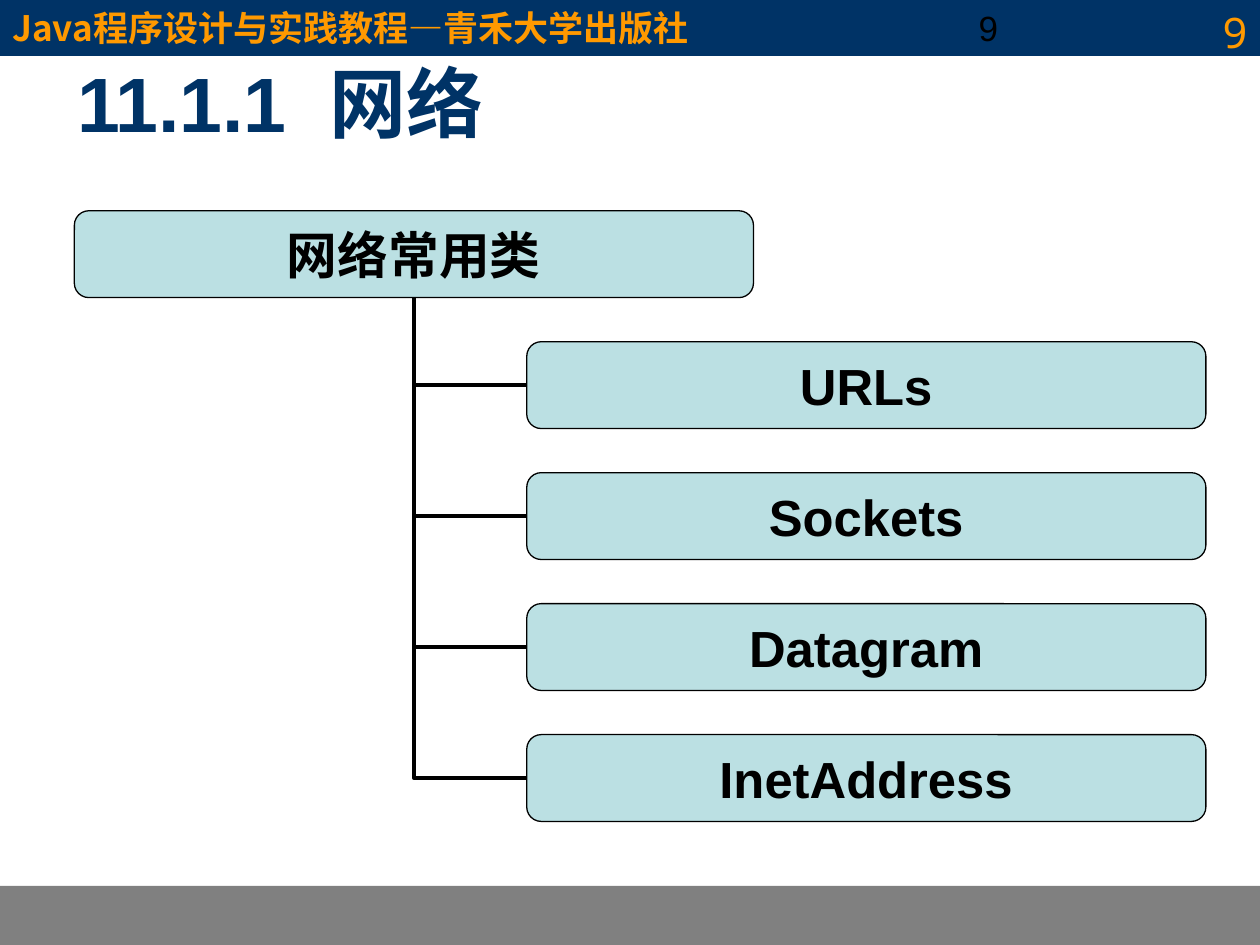
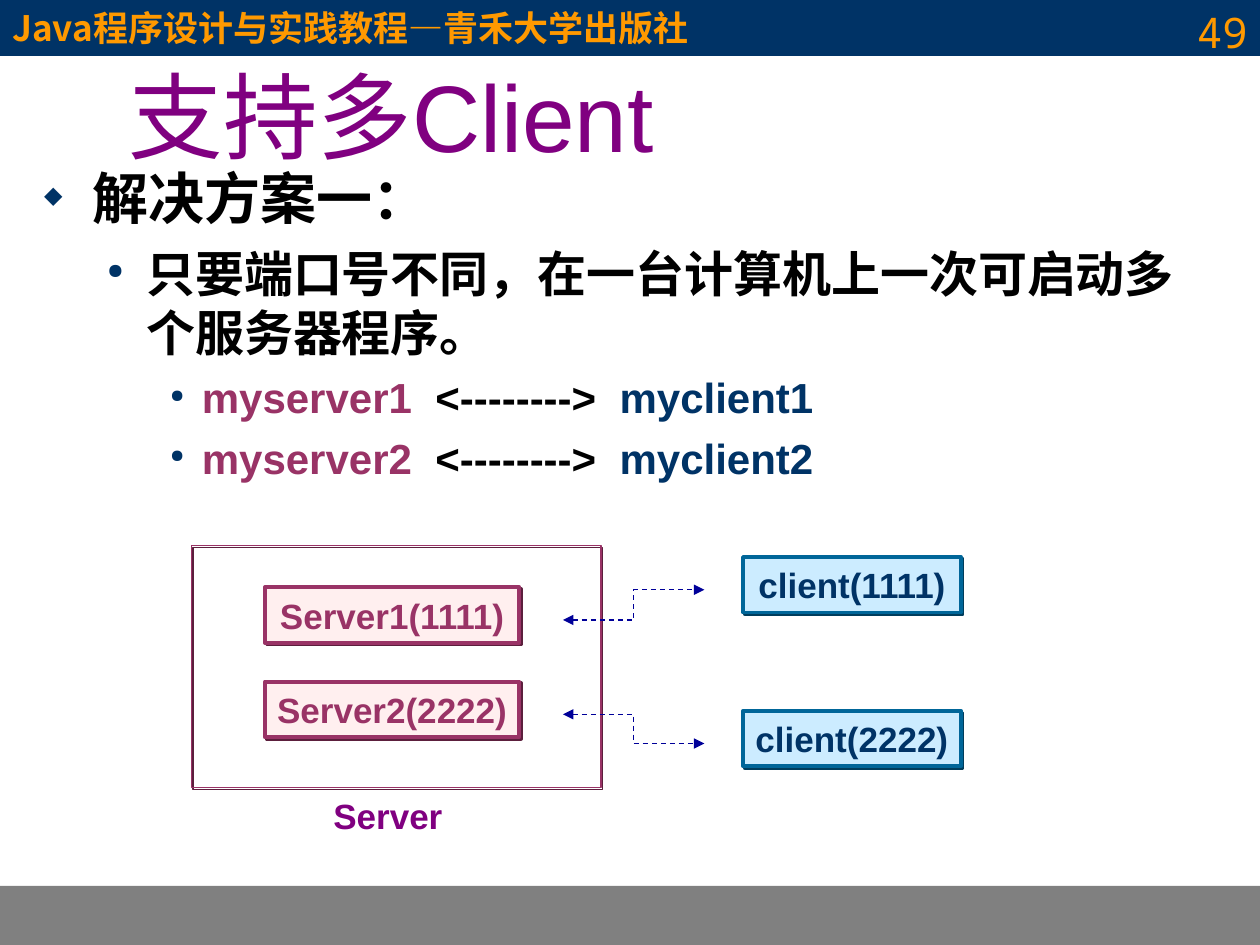
from lxml import etree
from pptx import Presentation
from pptx import util as u
from pptx.dml.color import RGBColor
from pptx.enum import dml, shapes, text
from pptx.oxml.ns import qn

NAVY, ORANGE, GRAY, BLACK = "003366", "FF9900", "808080", "000000"
PURPLE, PLUM, TEAL, BLUE = "800080", "993366", "BBE0E3", "000099"
LEFT, CENTER, RIGHT = text.PP_ALIGN.LEFT, text.PP_ALIGN.CENTER, text.PP_ALIGN.RIGHT


def write(paragraph, content, size=20, color=BLACK, bold=True, font="Arial", align=LEFT):
    paragraph.alignment = align
    run = paragraph.add_run()
    run.text = content
    run.font.size = u.Pt(size)
    run.font.bold = bold
    run.font.name = font
    run.font.color.rgb = RGBColor.from_string(color)
    etree.SubElement(run.font._element, qn("a:ea"), typeface="Noto Sans CJK SC")


def paint(shape, fill=None, line=None, width=0.75, shadow=None):
    """Set fill, outline and an optional hard shadow; None leaves a part out."""
    if fill:
        shape.fill.solid()
        shape.fill.fore_color.rgb = RGBColor.from_string(fill)
    elif hasattr(shape, "fill"):
        shape.fill.background()
    if line:
        shape.line.color.rgb = RGBColor.from_string(line)
        shape.line.width = u.Pt(width)
    else:
        shape.line.fill.background()
    properties = shape._element.spPr
    for old in properties.findall(qn("a:effectLst")):
        properties.remove(old)
    effects = etree.SubElement(properties, qn("a:effectLst"))
    if shadow:
        outer = etree.SubElement(effects, qn("a:outerShdw"), dist=str(u.Pt(1.4)),
                                 dir="2700000", algn="ctr", rotWithShape="0")
        etree.SubElement(outer, qn("a:srgbClr"), val=shadow)


presentation = Presentation()
presentation.slide_width, presentation.slide_height = u.Cm(25.4), u.Cm(19.05)
title_only = presentation.slide_layouts[5]

# Titles and page numbers
pages = [
    ("11.1.1  网络", dict(size=44, color=NAVY), (1.3, 1.19, 22.86, 1.73), "9"),
    ("支持多Client", dict(size=54, color=PURPLE, bold=False), (2.34, 1.27, 18.36, 2.08), "49"),
]
number_place = [u.Cm(value) for value in (19.48, 0, 5.92, 1.32)]
for heading, style, place, number in pages:
    slide = presentation.slides.add_slide(title_only)
    title = slide.shapes.title
    title.left, title.top, title.width, title.height = [u.Cm(value) for value in place]
    title.text_frame.auto_size = text.MSO_AUTO_SIZE.NONE
    write(title.text_frame.paragraphs[0], heading, **style)
    number_box = slide.shapes.add_textbox(*number_place)
    number_box.text_frame.word_wrap = True
    write(number_box.text_frame.paragraphs[0], number, size=24, color=ORANGE,
          bold=False, font="Noto Sans Mono", align=RIGHT)
tree_slide, client_slide = presentation.slides

# Bands, moved to the slide master so that every slide shows them
master_tree = presentation.slide_master.shapes._spTree
for top, height, fill, line, caption in [
    (17.86, 1.19, GRAY, None, ""),
    (0, 1.12, NAVY, NAVY, "Java程序设计与实践教程—青禾大学出版社"),
]:
    band = tree_slide.shapes.add_shape(shapes.MSO_SHAPE.RECTANGLE, 0, u.Cm(top),
                                       presentation.slide_width, u.Cm(height))
    paint(band, fill, line)
    if caption:
        write(band.text_frame.paragraphs[0], caption, color=ORANGE, font="Noto Sans CJK SC")
    master_tree.insert(2, band._element)

# Slide 1: second page number
plain_number = tree_slide.shapes.add_textbox(*number_place)
plain_number.text_frame.word_wrap = True
write(plain_number.text_frame.paragraphs[0], "9", bold=False)

# Slide 1: class tree
root = None
for index, name in enumerate(["网络常用类", "URLs", "Sockets", "Datagram", "InetAddress"]):
    node = tree_slide.shapes.add_shape(
        shapes.MSO_SHAPE.ROUNDED_RECTANGLE, u.Cm(10.62 if index else 1.5),
        u.Cm(4.25 + 2.64 * index), u.Cm(13.69), u.Cm(1.75))
    paint(node, TEAL, BLACK)
    write(node.text_frame.paragraphs[0], name, size=29, align=CENTER)
    if root is None:
        root = node
        continue
    branch = tree_slide.shapes.add_connector(shapes.MSO_CONNECTOR.ELBOW, 0, 0, 0, 0)
    branch.begin_connect(node, 1)
    branch.end_connect(root, 2)
    branch._element.spPr.find(qn("a:prstGeom")).set("prst", "bentConnector2")
    paint(branch, line=BLACK, width=2.25)

# Slide 2: bulleted text; each level has indent, hanging, space before, size, bullet
levels = [(0.97, 0.97, 8, 32, "◆"), (2.06, 0.79, 7, 28, "●"), (3.18, 0.64, 6, 24, "●")]
points = [
    (0, [("解决方案一：", BLACK)]),
    (1, [("只要端口号不同，在一台计算机上一次可启动多个服务器程序。", BLACK)]),
]
for index in (1, 2):
    points.append((2, [(f"myserver{index}", PLUM), ("  <-------->  ", BLACK),
                       (f"myclient{index}", NAVY)]))
body = client_slide.shapes.add_textbox(u.Cm(0.64), u.Cm(3.18), u.Cm(24.13), u.Cm(7.42))
body.text_frame.word_wrap = True
for index, (level, runs) in enumerate(points):
    paragraph = body.text_frame.add_paragraph() if index else body.text_frame.paragraphs[0]
    indent, hanging, space, size, bullet = levels[level]
    paragraph.level = level
    paragraph.space_before = u.Pt(space)
    for content, color in runs:
        write(paragraph, content, size=size, color=color)
    properties = paragraph._element.get_or_add_pPr()
    properties.set("marL", str(u.Cm(indent)))
    properties.set("indent", str(-u.Cm(hanging)))
    bullet_color = etree.SubElement(properties, qn("a:buClr"))
    etree.SubElement(bullet_color, qn("a:srgbClr"), val=NAVY)
    etree.SubElement(properties, qn("a:buSzPct"), val="43000")
    etree.SubElement(properties, qn("a:buChar"), char=bullet)

# Slide 2: server frame and its label, wide enough for one line
frame = client_slide.shapes.add_shape(shapes.MSO_SHAPE.RECTANGLE, u.Cm(3.86), u.Cm(11),
                                      u.Cm(8.26), u.Cm(4.88))
paint(frame, line=PLUM, shadow="5C1F3D")
label = client_slide.shapes.add_textbox(u.Cm(6.22), u.Cm(15.9), u.Cm(3.2), u.Cm(1.12))
label.text_frame.word_wrap = True
write(label.text_frame.paragraphs[0], "Server", color=PURPLE, align=CENTER)

# Slide 2: server and client pairs with dashed links
for index, (port, server_top, client_top) in enumerate([(1111, 11.84, 11.23),
                                                        (2222, 13.74, 14.33)], 1):
    for name, left, top, width, fill, line, shadow, color in [
        (f"Server{index}({port})", 5.34, server_top, 5.13, "FFEFEF", PLUM, "5C1F3D", PLUM),
        (f"client({port})", 14.98, client_top, 4.39, "CCECFF", "006699", "003D5C", NAVY),
    ]:
        box = client_slide.shapes.add_shape(shapes.MSO_SHAPE.RECTANGLE, u.Cm(left),
                                            u.Cm(top), u.Cm(width), u.Cm(1.12))
        paint(box, fill, line, 2.25, shadow)
        box.text_frame.word_wrap = False
        write(box.text_frame.paragraphs[0], name, color=color, align=CENTER)
    link = client_slide.shapes.add_connector(
        shapes.MSO_CONNECTOR.ELBOW, u.Cm(11.35), u.Cm(server_top + 0.66),
        u.Cm(14.2), u.Cm(client_top + 0.66))
    paint(link, line=BLUE)
    link.line.dash_style = dml.MSO_LINE.DASH
    outline = link._element.spPr.find(qn("a:ln"))
    for end in ("a:headEnd", "a:tailEnd"):
        etree.SubElement(outline, qn(end), type="triangle")

presentation.save("out.pptx")
